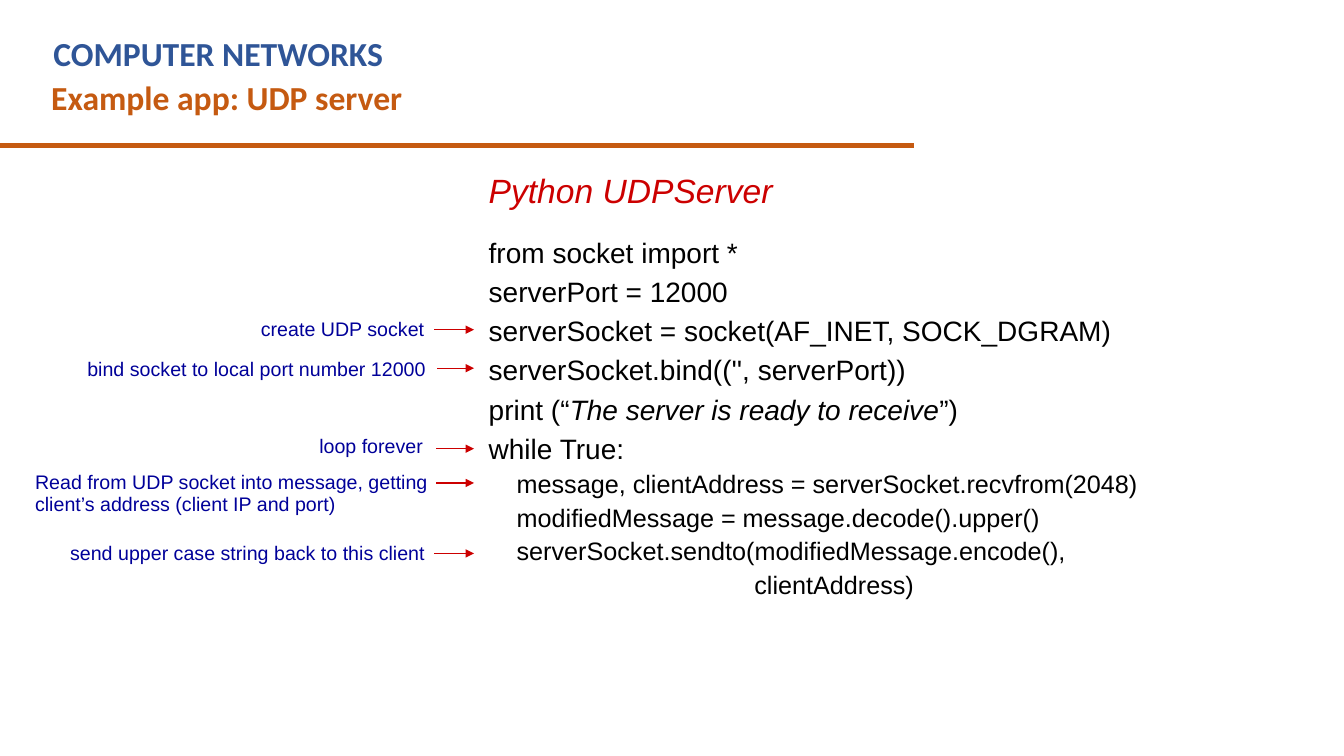
from pptx import Presentation
from pptx.dml.color import RGBColor
from pptx.enum.shapes import MSO_CONNECTOR
from pptx.enum.text import MSO_AUTO_SIZE
from pptx.util import Pt
from lxml.etree import SubElement
from pptx.oxml.ns import qn

BLUE = RGBColor(0x2F, 0x55, 0x97)
ORANGE = RGBColor(0xC5, 0x5A, 0x11)
RED = RGBColor(0xCC, 0x00, 0x00)
NAVY = RGBColor(0x00, 0x00, 0x99)
BLACK = RGBColor(0x00, 0x00, 0x00)

deck = Presentation()
deck.slide_width = Pt(960)
deck.slide_height = Pt(540)
slide = deck.slides.add_slide(deck.slide_layouts[6])


def add_text(lines, box, size, color, font="Arial", bold=False, slant=False,
             pitch=None, wrap=True):
    frame = slide.shapes.add_textbox(*map(Pt, box)).text_frame
    frame.word_wrap = wrap
    frame.auto_size = MSO_AUTO_SIZE.SHAPE_TO_FIT_TEXT
    for i, (line, points, space) in enumerate(
            [(lines, size, pitch)] if isinstance(lines, str) else lines):
        para = frame.add_paragraph() if i else frame.paragraphs[0]
        if space:
            para.line_spacing = Pt(space)
        for j, part in enumerate([line] if isinstance(line, str) else line):
            run = para.add_run()
            run.text = part
            run.font.name = font
            run.font.size = Pt(points)
            run.font.bold = bold
            run.font.italic = slant or j % 2 == 1
            run.font.color.rgb = color


def add_line(left, right, y, color, width, arrow=False):
    line = slide.shapes.add_connector(
        MSO_CONNECTOR.STRAIGHT, Pt(left), Pt(y), Pt(right), Pt(y))
    line.line.color.rgb = color
    line.line.width = Pt(width)
    if arrow:
        SubElement(line.line._get_or_add_ln(), qn("a:tailEnd"), type="triangle")
    SubElement(line._element.spPr, qn("a:effectLst"))


add_line(-1, 653, 104, ORANGE, 3)
add_text("COMPUTER NETWORKS", (31, 20.3, 590, 36), 24, BLUE,
         font="Calibri", bold=True)
add_text("Example app: UDP server", (29.5, 51.5, 630, 36), 24, ORANGE,
         font="Calibri", bold=True)
add_text("Python UDPServer", (342, 118, 220, 36), 24, RED,
         slant=True, wrap=False)

outer = [
    "from socket import *",
    "serverPort = 12000",
    "serverSocket = socket(AF_INET, SOCK_DGRAM)",
    "serverSocket.bind(('', serverPort))",
    ("print (“", "The server is ready to receive", "”)"),
    "while True:",
]
inner = [
    "    message, clientAddress = serverSocket.recvfrom(2048)",
    "    modifiedMessage = message.decode().upper()",
    "    serverSocket.sendto(modifiedMessage.encode(),",
    "                                      clientAddress)",
]
code = [(line, 20, 28) for line in outer] + [(line, 18, 24) for line in inner]
add_text(code, (342, 160.5, 484, 315), 20, BLACK, wrap=False)

notes = [
    ("create UDP socket", (179.3, 222.5, 201.6, 24.5), None, 310.3, 235.5),
    ("bind socket to local port number 12000",
     (55.3, 251.5, 284, 24.5), None, 312.5, 263),
    ("loop forever", (221, 307.5, 94.5, 24), 16, 311.8, 320.5),
    ("Read from UDP socket into message, getting client’s address "
     "(client IP and port)", (18, 332.6, 302.4, 40), 16, 311.8, 345),
    ("send upper case string back to this client",
     (43, 383, 302.4, 24.5), None, 310.3, 395.3),
]
for note, box, pitch, start, y in notes:
    add_text(note, box, 14, NAVY, pitch=pitch)
    add_line(start, 338.6, y, RED, 1, arrow=True)

deck.save("out.pptx")
